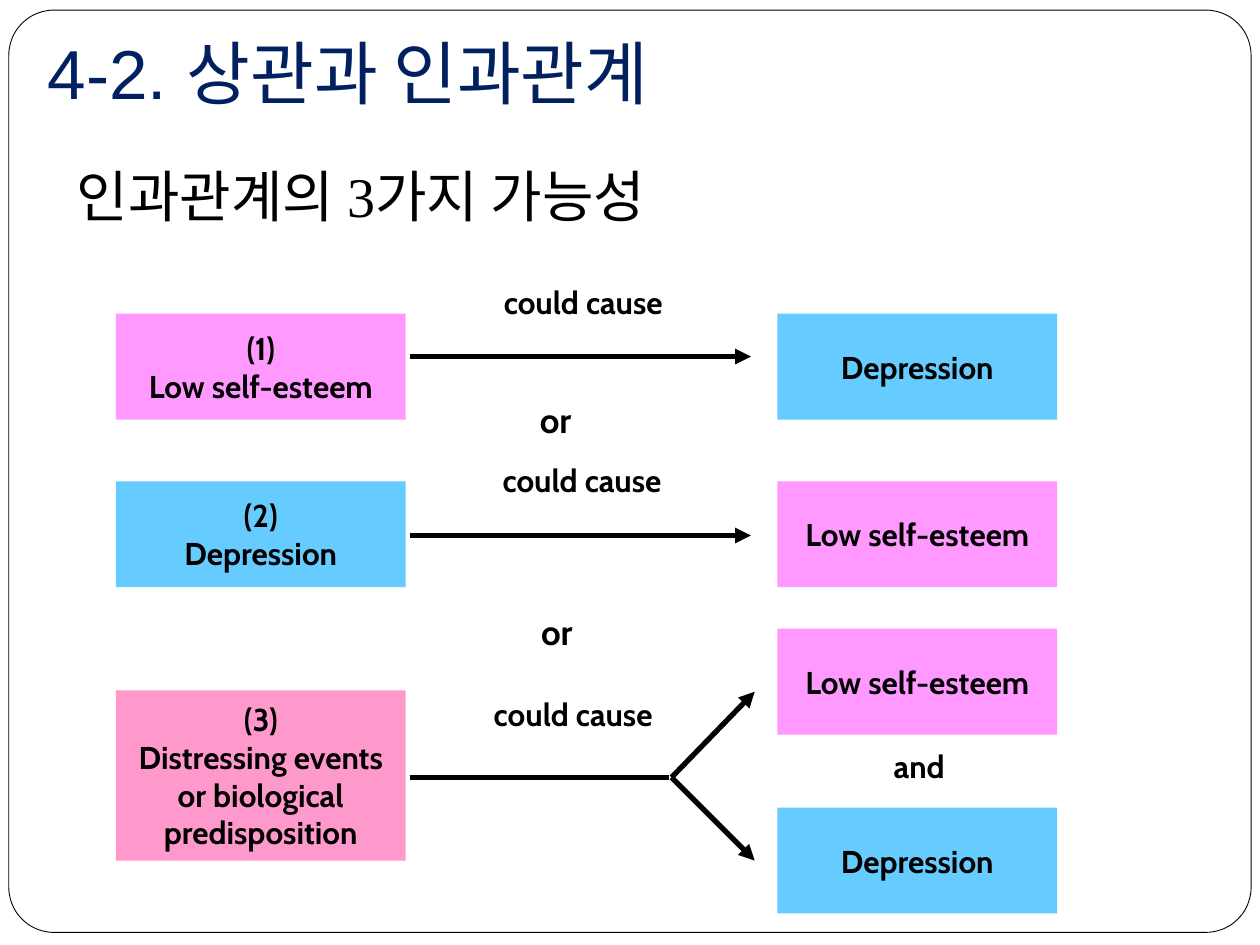
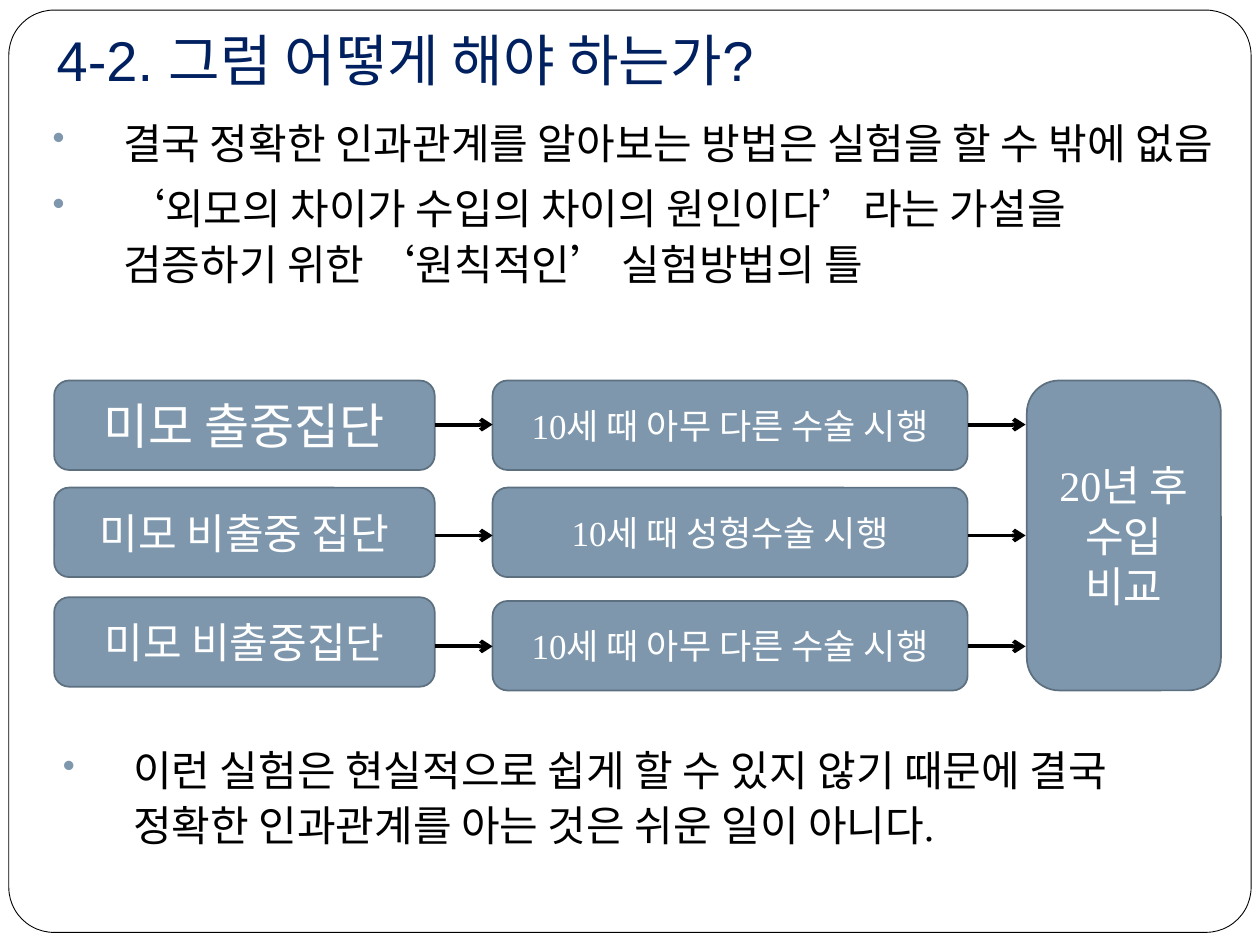
from lxml import etree
from pptx import Presentation
from pptx.dml.color import RGBColor
from pptx.enum.shapes import MSO_CONNECTOR, MSO_SHAPE
from pptx.enum.text import MSO_ANCHOR, MSO_AUTO_SIZE, PP_ALIGN
from pptx.oxml.ns import qn
from pptx.util import Inches, Pt

RECT, ROUND = MSO_SHAPE.RECTANGLE, MSO_SHAPE.ROUNDED_RECTANGLE
STRAIGHT = MSO_CONNECTOR.STRAIGHT
LEFT, CENTER = PP_ALIGN.LEFT, PP_ALIGN.CENTER
TOP, MIDDLE, BOTTOM = MSO_ANCHOR.TOP, MSO_ANCHOR.MIDDLE, MSO_ANCHOR.BOTTOM
NO_AUTOFIT = MSO_AUTO_SIZE.NONE

TITLE_ONLY = 5
BLACK, WHITE, NAVY = "000000", "FFFFFF", "002060"
SLATE, SLATE_EDGE = "7E97AD", "5D7080"
PINK, BLUE, ROSE = "FF99FF", "66CCFF", "FF99CC"
SERIF, SANS, LABEL = "Times New Roman", "Arial", "Cabin"


def color(value):
    """Turn a hex string into a colour."""
    return RGBColor.from_string(value)


class Deck:
    """Holds the shared style and the current page."""

    def __init__(self):
        """Start an empty 4:3 deck."""
        self.deck = Presentation()
        self.deck.slide_width = Inches(10)
        self.deck.slide_height = Inches(7.5)
        self.page = None

    def add_page(self, title, left, top, width, size):
        """Add a page with the rounded frame and a title."""
        self.page = self.deck.slides.add_slide(self.deck.slide_layouts[TITLE_ONLY])
        heading = self.page.shapes.title
        heading.left, heading.top = Inches(left), Inches(top)
        heading.width, heading.height = Inches(width), Inches(0.79)
        self.set_text(heading, title, size, SANS, NAVY, align=LEFT, anchor=BOTTOM)
        heading.text_frame.margin_bottom = Inches(0.1)
        frame = self.box(0.07, 0.08, 9.86, 7.32, WHITE, ROUND, BLACK, 0.5)
        frame.adjustments[0] = 0.049
        heading.element.addprevious(frame.element)

    def set_text(self, shape, text, size, font, ink, bold=False, align=LEFT,
                 anchor=TOP, wrap=True):
        """Put formatted text in a shape."""
        frame = shape.text_frame
        frame.text = text
        frame.word_wrap = wrap
        frame.auto_size = NO_AUTOFIT
        frame.vertical_anchor = anchor
        frame.margin_left = frame.margin_right = Inches(0.1)
        frame.margin_top = frame.margin_bottom = Inches(0.05)
        for para in frame.paragraphs:
            para.alignment = align
            for span in para.runs:
                span.font.size = Pt(size)
                span.font.name = font
                span.font.bold = bold
                span.font.color.rgb = color(ink)

    def box(self, left, top, width, height, fill, kind=RECT, edge=None, weight=1):
        """Draw a filled preset shape."""
        box = self.page.shapes.add_shape(
            kind, Inches(left), Inches(top), Inches(width), Inches(height))
        box.shadow.inherit = False
        box.fill.solid()
        box.fill.fore_color.rgb = color(fill)
        if edge:
            box.line.color.rgb = color(edge)
            box.line.width = Pt(weight)
        else:
            box.line.fill.background()
        return box

    def cause_box(self, left, top, width, height, fill, text):
        """Draw a coloured box with a bold label."""
        box = self.box(left, top, width, height, fill)
        self.set_text(box, text, 18, LABEL, BLACK, True, CENTER, MIDDLE, wrap=False)

    def step_box(self, left, top, width, height, text, size):
        """Draw a rounded step of the experiment."""
        box = self.box(left, top, width, height, SLATE, ROUND, SLATE_EDGE)
        self.set_text(box, text, size, SERIF, WHITE, align=CENTER, anchor=MIDDLE)

    def text(self, left, top, width, height, text, size, font, bold=False, align=LEFT):
        """Add a black text box."""
        box = self.page.shapes.add_textbox(
            Inches(left), Inches(top), Inches(width), Inches(height))
        self.set_text(box, text, size, font, BLACK, bold, align)
        return box

    def bullets(self, left, top, width, height, text):
        """Add a text box with a bullet on every paragraph."""
        box = self.text(left, top, width, height, text, 24, SERIF)
        for para in box.text_frame.paragraphs:
            para.line_spacing = 1.1
            para.space_before = Pt(5.8)
            props = para._p.get_or_add_pPr()
            props.set("marL", str(Inches(0.68)))
            props.set("indent", str(Inches(-0.56)))
            tint = etree.SubElement(props, qn("a:buClr"))
            etree.SubElement(tint, qn("a:srgbClr"), val=SLATE)
            etree.SubElement(props, qn("a:buSzPct"), val="85000")
            etree.SubElement(props, qn("a:buChar"), char="•")

    def line(self, start, end, weight, head=None):
        """Draw a straight line, with an arrowhead if one is named."""
        line = self.page.shapes.add_connector(
            STRAIGHT, *(Inches(value) for value in (*start, *end)))
        line.line.color.rgb = color(BLACK)
        line.line.width = Pt(weight)
        if head:
            etree.SubElement(line.line._get_or_add_ln(), qn("a:tailEnd"), type=head)
        etree.SubElement(line.element.spPr, qn("a:effectLst"))


def add_causes(deck):
    """Build the page on the three possible causal relations."""
    deck.add_page("4-2. 상관과 인과관계", 0.28, 0.21, 7.64, 39.6)
    deck.text(0.51, 1.23, 8.92, 0.67, "인과관계의 3가지 가능성", 32, SERIF)

    causes = [
        (2.49, 0.84, PINK, "(1)\nLow self-esteem"),
        (3.82, 0.84, BLUE, "(2)\nDepression"),
        (5.48, 1.35, ROSE, "(3)\nDistressing events\nor biological\npredisposition"),
    ]
    for top, height, fill, label in causes:
        deck.cause_box(0.92, top, 2.3, height, fill, label)

    effects = [(2.49, BLUE, "Depression"), (3.82, PINK, "Low self-esteem"),
               (4.99, PINK, "Low self-esteem"), (6.41, BLUE, "Depression")]
    for top, fill, label in effects:
        deck.cause_box(6.17, top, 2.22, 0.84, fill, label)

    for y in (2.83, 4.25):
        deck.line((3.25, y), (5.96, y), 3, "triangle")
    deck.line((3.25, 6.17), (5.31, 6.17), 3)
    for y in (5.49, 6.83):
        deck.line((5.33, 6.17), (5.99, y), 3, "triangle")

    for left, top in ((3.9, 2.2), (3.89, 3.61), (3.82, 5.47)):
        deck.text(left, top, 1.65, 0.71, "could cause", 18, LABEL, True)
    links = [(4.05, 3.11, 0.72, "or", 20), (4, 4.8, 0.84, "or", 20),
             (6.92, 5.88, 0.75, "and", 18)]
    for left, top, width, word, size in links:
        deck.text(left, top, width, 0.44, word, size, LABEL, True, CENTER)


def add_experiment(deck):
    """Build the page on the experiment that would settle the cause."""
    deck.add_page("4-2. 그럼 어떻게 해야 하는가?", 0.35, 0.05, 9.29, 32)
    deck.bullets(
        0.2, 0.84, 9.53, 1.89,
        "결국 정확한 인과관계를 알아보는 방법은 실험을 할 수 밖에 없음\n"
        "‘외모의 차이가 수입의 차이의 원인이다’라는 가설을 검증하기 위한 "
        "‘원칙적인’ 실험방법의 틀")

    groups = [(3.02, "미모 출중집단", 28), (3.87, "미모 비출중 집단", 24),
              (4.74, "미모 비출중집단", 24)]
    for top, label, size in groups:
        deck.step_box(0.43, top, 3.02, 0.71, label, size)

    other_surgery = "10세 때 아무 다른 수술 시행"
    treatments = [(3.02, other_surgery), (3.87, "10세 때 성형수술 시행"),
                  (4.77, other_surgery)]
    for top, label in treatments:
        deck.step_box(3.91, top, 3.77, 0.71, label, 20)
    deck.step_box(8.15, 3.02, 1.54, 2.46, "20년 후\n수입\n비교", 24)

    for left in (3.45, 7.68):
        for y in (3.37, 4.25, 5.13):
            deck.line((left, y), (left + 0.46, y), 2.25, "arrow")

    deck.bullets(
        0.28, 5.82, 9.53, 1.39,
        "이런 실험은 현실적으로 쉽게 할 수 있지 않기 때문에 결국 "
        "정확한 인과관계를 아는 것은 쉬운 일이 아니다.")


def main():
    """Build and save the deck."""
    deck = Deck()
    add_causes(deck)
    add_experiment(deck)
    deck.deck.save("out.pptx")


if __name__ == "__main__":
    main()
